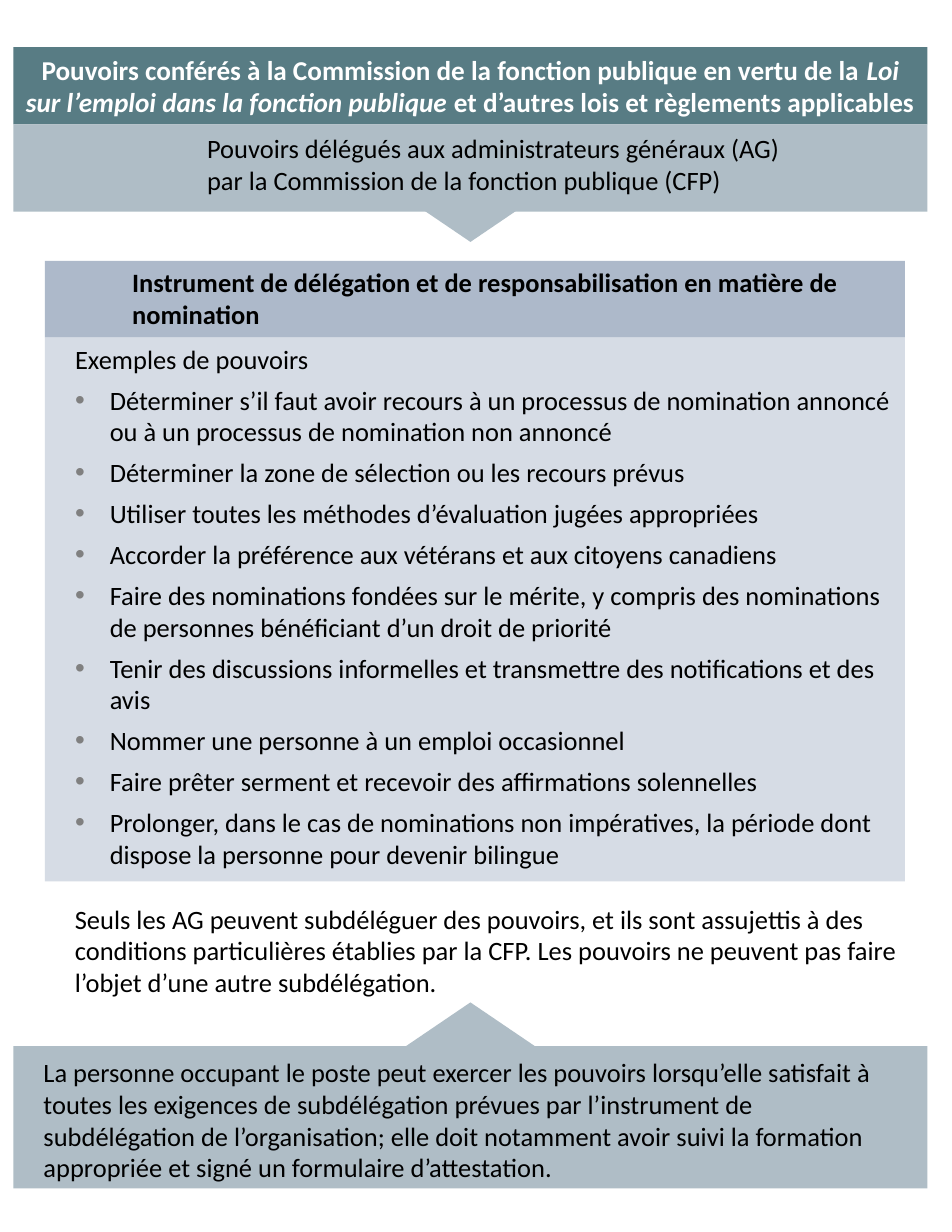
"""Builds a one-page slide on the delegation of staffing powers."""
import pptx
import pptx.dml.color
import pptx.enum.shapes
import pptx.enum.text
import pptx.util
from lxml import etree

RGB = pptx.dml.color.RGBColor
SHAPE = pptx.enum.shapes.MSO_SHAPE
ANCHOR = pptx.enum.text.MSO_ANCHOR
ALIGN = pptx.enum.text.PP_ALIGN
Inches = pptx.util.Inches
Pt = pptx.util.Pt

BLACK, WHITE = RGB(0x00, 0x00, 0x00), RGB(0xFF, 0xFF, 0xFF)
TEAL, GREY_BLUE = RGB(0x58, 0x7C, 0x84), RGB(0xAF, 0xBD, 0xC6)
HEADING_BLUE, PANEL_BLUE = RGB(0xAD, 0xB9, 0xCA), RGB(0xD6, 0xDC, 0xE5)
BULLET_GREY = "808080"

TITLE = [
    ("Pouvoirs conférés à la Commission de la fonction publique en vertu de la ", False),
    ("Loi sur l’emploi dans la fonction publique", True),
    (" et d’autres lois et règlements applicables", False),
]
DELEGATED = ("Pouvoirs délégués aux administrateurs généraux (AG) "
             "par la Commission de la fonction publique (CFP)")
INSTRUMENT = "Instrument de délégation et de responsabilisation en matière de nomination"
EXAMPLES_LABEL = "Exemples de pouvoirs"
EXAMPLES = [
    "Déterminer s’il faut avoir recours à un processus de nomination annoncé "
    "ou à un processus de nomination non annoncé",
    "Déterminer la zone de sélection ou les recours prévus",
    "Utiliser toutes les méthodes d’évaluation jugées appropriées",
    "Accorder la préférence aux vétérans et aux citoyens canadiens",
    "Faire des nominations fondées sur le mérite, y compris des nominations "
    "de personnes bénéficiant d’un droit de priorité",
    "Tenir des discussions informelles et transmettre des notifications et des avis",
    "Nommer une personne à un emploi occasionnel",
    "Faire prêter serment et recevoir des affirmations solennelles",
    "Prolonger, dans le cas de nominations non impératives, la période dont "
    "dispose la personne pour devenir bilingue",
]
SUBDELEGATION = ("Seuls les AG peuvent subdéléguer des pouvoirs, et ils sont assujettis à des "
                 "conditions particulières établies par la CFP. Les pouvoirs ne peuvent pas "
                 "faire l’objet d’une autre subdélégation.")
INCUMBENT = ("La personne occupant le poste peut exercer les pouvoirs lorsqu’elle satisfait à "
             "toutes les exigences de subdélégation prévues par l’instrument de subdélégation "
             "de l’organisation; elle doit notamment avoir suivi la formation appropriée et "
             "signé un formulaire d’attestation.")

OUTER_X, OUTER_W = 0.12, 8.16
INNER_X, INNER_W = 0.4, 7.68
ARROW_W, ARROW_H = 1.15, 0.39
ARROW_X = OUTER_X + (OUTER_W - ARROW_W) / 2
TITLE_Y, TITLE_H = 0.42, 0.69
BAND_Y, BAND_H = TITLE_Y + TITLE_H, 0.78
HEADING_Y, HEADING_H = 2.33, 0.68
PANEL_Y, PANEL_H = HEADING_Y + HEADING_H, 4.86
FOOT_Y, FOOT_H = 9.34, 1.27


def place(s, x, y, w, h):
    s.left, s.top, s.width, s.height = map(Inches, (x, y, w, h))


def paint(s, color):
    s.fill.solid()
    s.fill.fore_color.rgb = color
    s.line.fill.background()


def add_block(slide, kind, x, y, w, h, color):
    s = slide.shapes.add_shape(kind, *map(Inches, (x, y, w, h)))
    s.shadow.inherit = False
    paint(s, color)
    return s


def add_note(slide, text, x, y, w, h, **kwargs):
    s = slide.shapes.add_textbox(*map(Inches, (x, y, w, h)))
    write(s, [[(text, False)]], **kwargs)


def add_bullet(p):
    pPr = p._p.get_or_add_pPr()
    color = etree.SubElement(pPr, pptx.oxml.ns.qn("a:buClr"))
    etree.SubElement(color, pptx.oxml.ns.qn("a:srgbClr"), val=BULLET_GREY)
    etree.SubElement(pPr, pptx.oxml.ns.qn("a:buSzPct"), val="105000")
    etree.SubElement(pPr, pptx.oxml.ns.qn("a:buFont"), typeface="Arial")
    etree.SubElement(pPr, pptx.oxml.ns.qn("a:buChar"), char="•")


def write(s, paragraphs, size=17, color=BLACK, bold=False, align=ALIGN.LEFT,
          anchor=ANCHOR.TOP, indent=0.17, after=5.9, margin=0.1, bullets_from=None):
    tf = s.text_frame
    tf.word_wrap = True
    tf.auto_size = pptx.enum.text.MSO_AUTO_SIZE.NONE
    tf.vertical_anchor = anchor
    tf.margin_left = Inches(margin)
    for i, runs in enumerate(paragraphs):
        p = tf.add_paragraph() if i else tf.paragraphs[0]
        p.alignment = align
        p.space_before, p.space_after = Pt(0), Pt(after)
        bulleted = bullets_from is not None and i >= bullets_from
        pPr = p._p.get_or_add_pPr()
        pPr.set("marL", str(Inches(0.48 if bulleted else indent)))
        pPr.set("indent", str(Inches(-0.31 if bulleted else 0)))
        if bulleted:
            add_bullet(p)
        else:
            etree.SubElement(pPr, pptx.oxml.ns.qn("a:buNone"))
        for text, italic in runs:
            r = p.add_run()
            r.text = text
            r.font.name, r.font.size = "Calibri", Pt(size)
            r.font.bold, r.font.italic = bold, italic
            r.font.color.rgb = color


def main():
    prs = pptx.Presentation()
    prs.slide_width, prs.slide_height = Inches(8.5), Inches(11)
    slide = prs.slides.add_slide(prs.slide_layouts[1])
    title, body = slide.placeholders

    place(title, OUTER_X, TITLE_Y, OUTER_W, TITLE_H)
    paint(title, TEAL)
    write(title, [TITLE], size=17.5, color=WHITE, bold=True, align=ALIGN.CENTER,
          anchor=ANCHOR.MIDDLE, indent=0, after=0)

    arrow = add_block(slide, SHAPE.ISOSCELES_TRIANGLE, ARROW_X, 1.77, ARROW_W, ARROW_H, GREY_BLUE)
    arrow.rotation = 180
    add_block(slide, SHAPE.RECTANGLE, OUTER_X, BAND_Y, OUTER_W, BAND_H, GREY_BLUE)
    add_note(slide, DELEGATED, 1.58, 1.13, 5.75, 0.67)

    heading = add_block(slide, SHAPE.RECTANGLE, INNER_X, HEADING_Y, INNER_W, HEADING_H,
                        HEADING_BLUE)
    write(heading, [[(INSTRUMENT, False)]], bold=True, margin=0.61)

    place(body, INNER_X, PANEL_Y, INNER_W, PANEL_H)
    paint(body, PANEL_BLUE)
    write(body, [[(text, False)] for text in [EXAMPLES_LABEL, *EXAMPLES]], bullets_from=1)

    add_note(slide, SUBDELEGATION, INNER_X, 8.01, 7.8, 0.96, after=8.8)

    add_block(slide, SHAPE.RECTANGLE, OUTER_X, FOOT_Y, OUTER_W, FOOT_H, GREY_BLUE)
    add_block(slide, SHAPE.ISOSCELES_TRIANGLE, ARROW_X, FOOT_Y - ARROW_H, ARROW_W, ARROW_H,
              GREY_BLUE)
    add_note(slide, INCUMBENT, OUTER_X, 9.38, 7.97, 1.25)

    prs.save("out.pptx")


if __name__ == "__main__":
    main()
